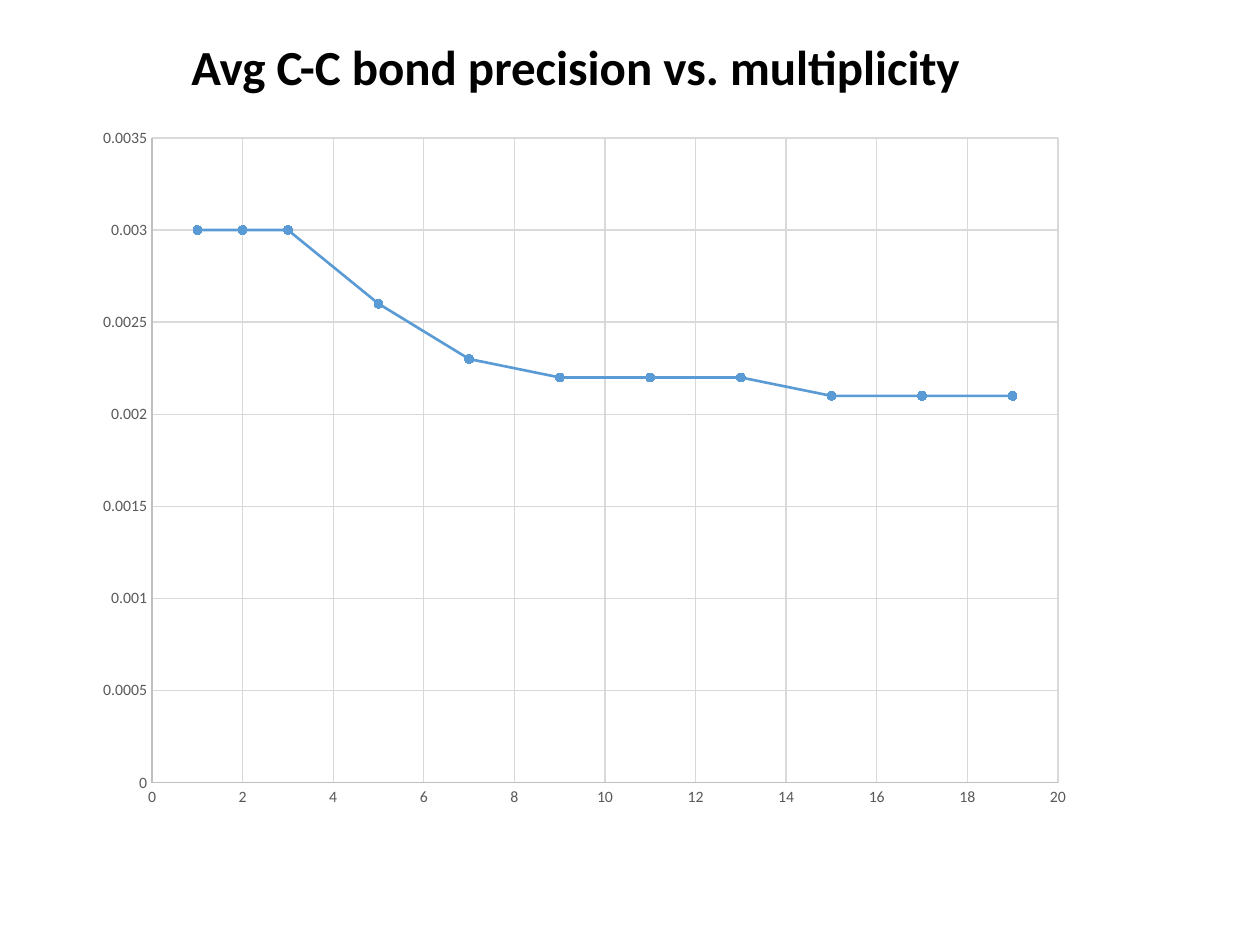
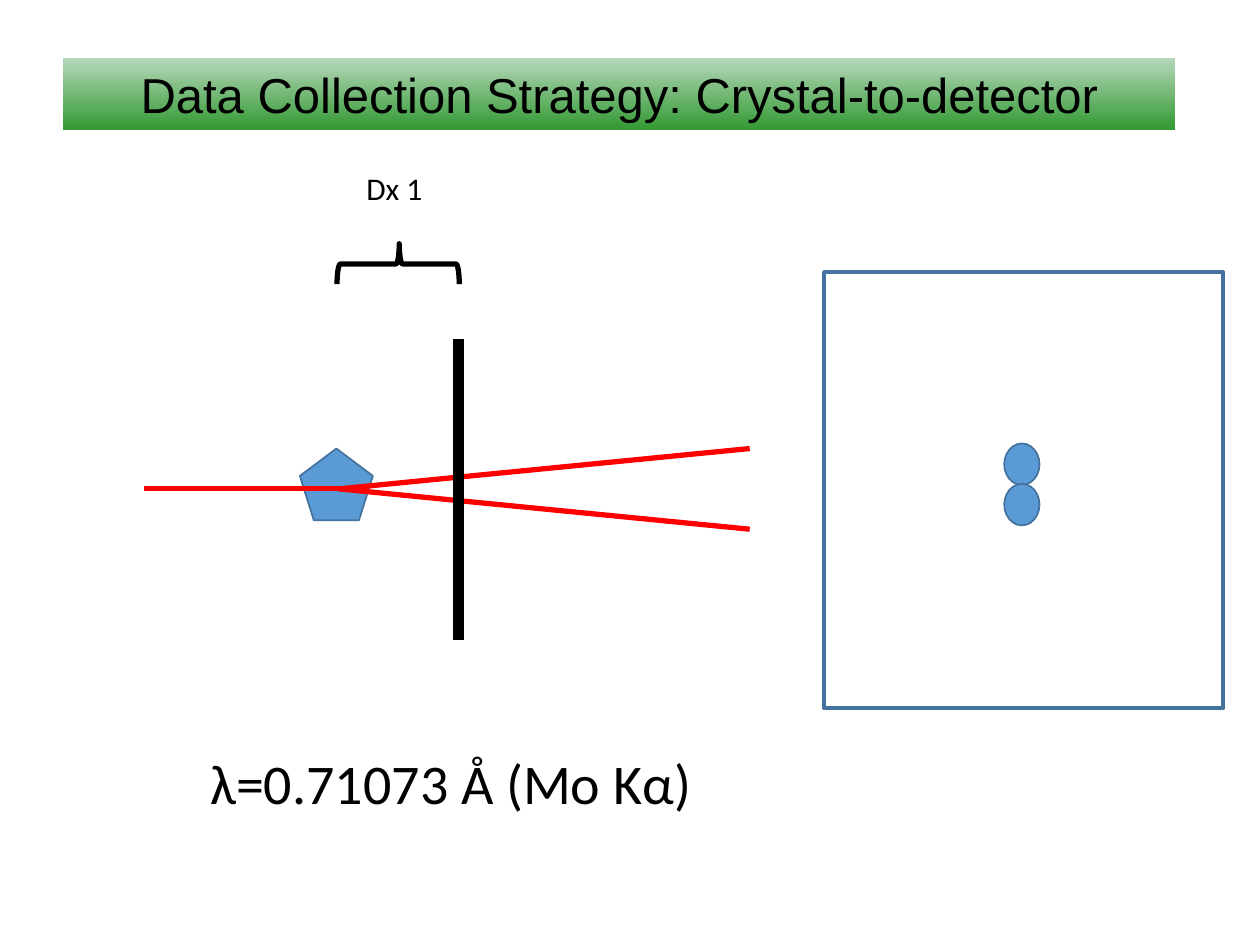
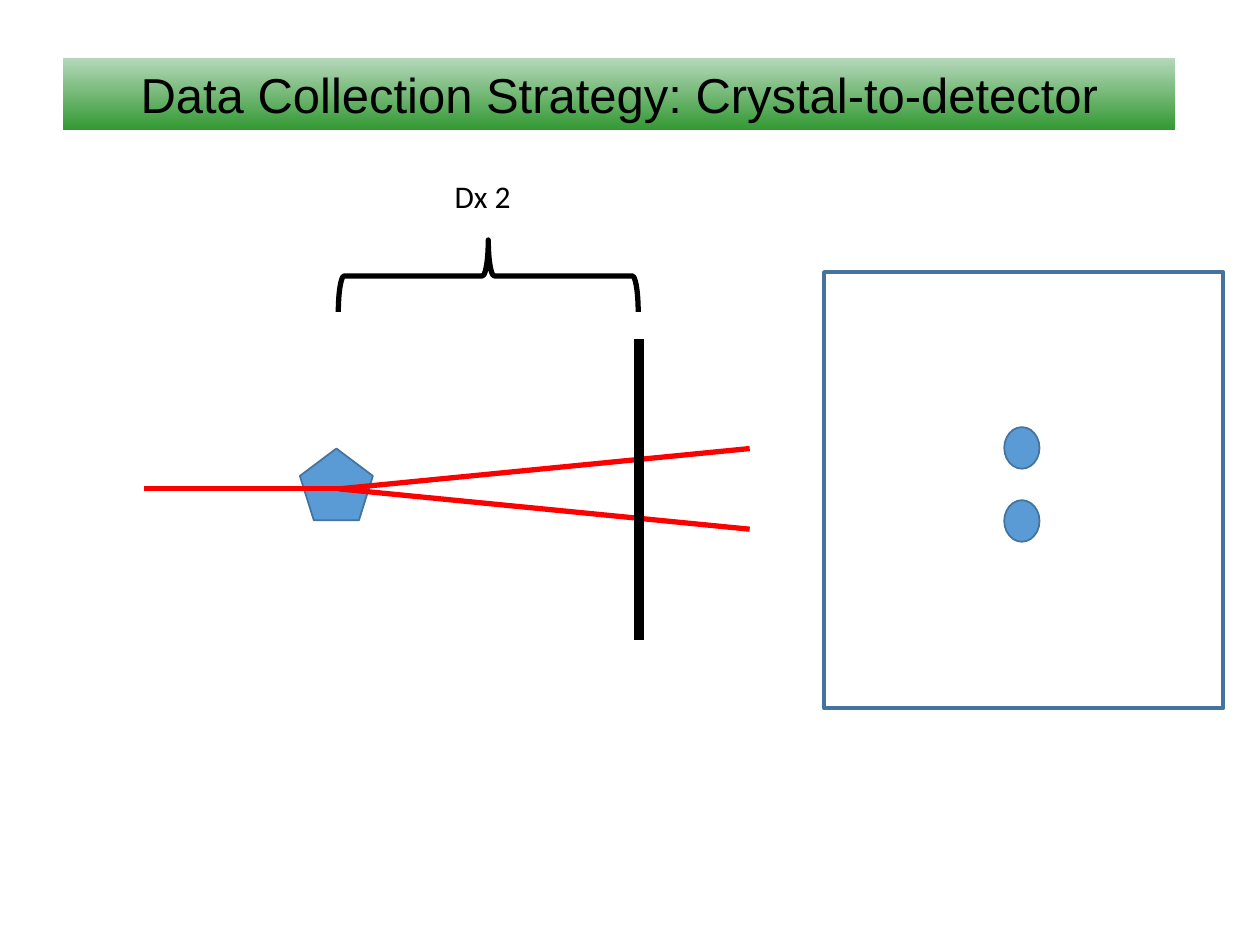
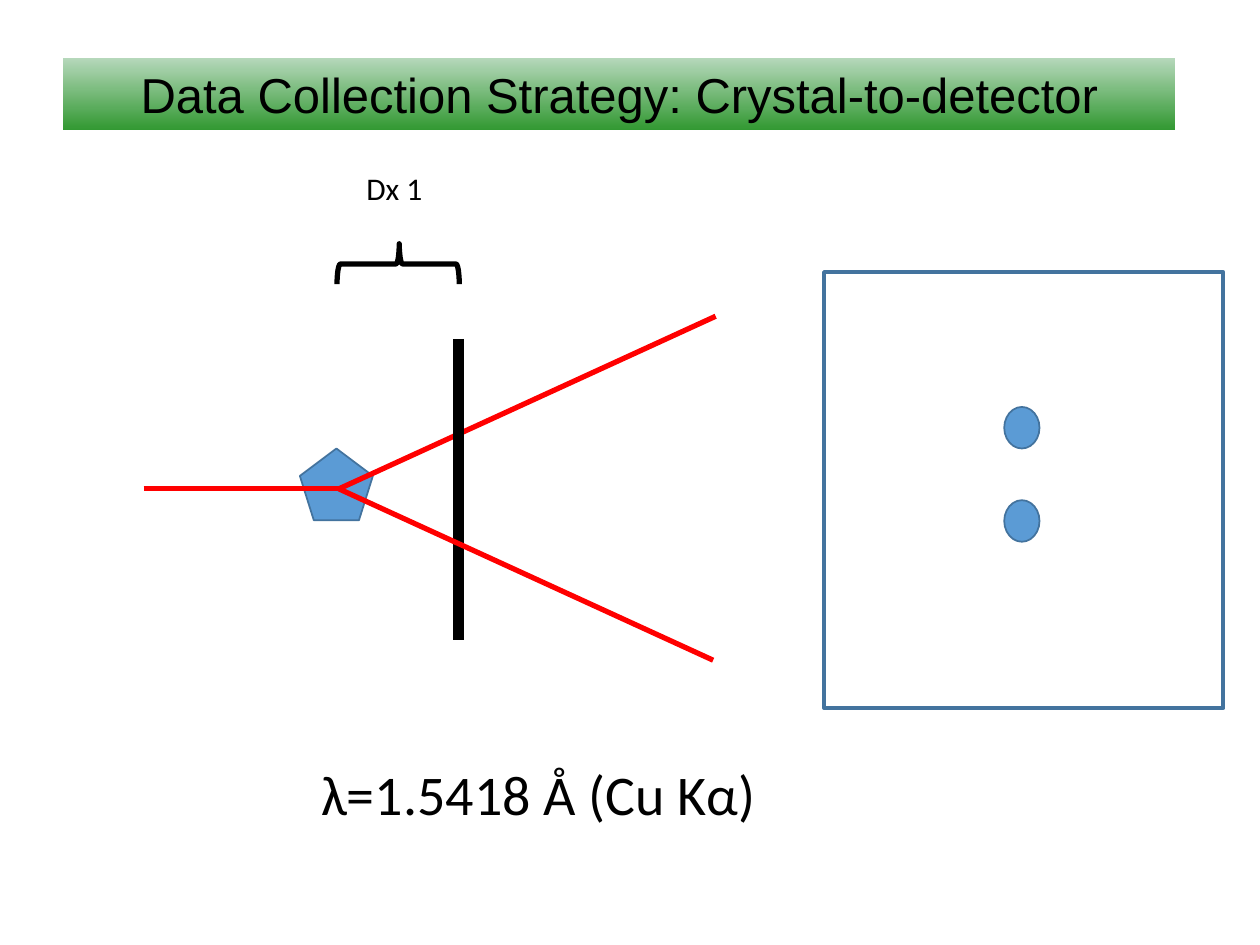
from lxml.etree import SubElement
from pptx import Presentation
from pptx.chart.data import XyChartData
from pptx.dml.color import RGBColor
from pptx.enum.chart import XL_CHART_TYPE, XL_MARKER_STYLE, XL_TICK_MARK
from pptx.enum.shapes import MSO_CONNECTOR, MSO_SHAPE
from pptx.enum.text import MSO_ANCHOR, MSO_AUTO_SIZE, PP_ALIGN
from pptx.oxml.ns import qn
from pptx.util import Inches, Pt

COLORS = {
    "ink": "000000", "blue": "5B9BD5", "edge": "43739E", "beam": "FF0000",
    "mint": "B6D8BB", "green": "339933",
    "label": "595959", "axis": "BFBFBF", "grid": "D9D9D9",
}
FONTS = {
    "head": {"name": "Calibri", "size": Pt(28), "bold": True},
    "band": {"name": "Arial", "size": Pt(28)},
    "note": {"name": "Calibri", "size": Pt(18)},
    "wave": {"name": "Calibri", "size": Pt(32)},
    "tick": {"name": "Calibri", "size": Pt(9)},
}
SOURCE = (2.69, 3.88)
NARROW = [(5.95, 4.2), (5.95, 3.56)]
MULTIPLES = [1, 2, 3, 5, 7, 9, 11, 13, 15, 17, 19]
ERRORS = [0.003, 0.003, 0.003, 0.0026, 0.0023, 0.0022,
          0.0022, 0.0022, 0.0021, 0.0021, 0.0021]


def color(name):
    return RGBColor.from_string(COLORS[name])


def assign(target, values):
    for key, value in values.items():
        setattr(target, key, value)


def set_font(font, style, ink="ink"):
    assign(font, FONTS[style])
    font.color.rgb = color(ink)


def set_line(line, ink, width):
    line.color.rgb = color(ink)
    line.width = Pt(width)


def write(shape, text, style, **frame):
    assign(shape.text_frame, {"word_wrap": True,
                              "auto_size": MSO_AUTO_SIZE.SHAPE_TO_FIT_TEXT, **frame})
    para = shape.text_frame.paragraphs[0]
    para.text = text
    set_font(para.font, style)
    return para


def add_text(slide, box, text, style, **frame):
    shape = slide.shapes.add_textbox(*map(Inches, box))
    write(shape, text, style, **frame)


def add_shape(slide, kind, box, fill=None, edge=None, width=1):
    shape = slide.shapes.add_shape(kind, *map(Inches, box))
    shape.shadow.inherit = False
    if fill:
        shape.fill.solid()
        shape.fill.fore_color.rgb = color(fill)
    else:
        shape.fill.background()
    if edge:
        set_line(shape.line, edge, width)
    else:
        shape.line.fill.background()
    return shape


def add_line(slide, start, end, ink, width):
    line = slide.shapes.add_connector(MSO_CONNECTOR.STRAIGHT,
                                      *map(Inches, (*start, *end)))
    set_line(line.line, ink, width)
    SubElement(line._element.spPr, qn("a:effectLst"))


def add_ray(slide, end, start=SOURCE):
    add_line(slide, start, end, "beam", 3)


def add_band(slide):
    band = add_shape(slide, MSO_SHAPE.RECTANGLE, (0.5, 0.46, 8.83, 0.57))
    band.fill.gradient()
    band.fill.gradient_angle = 270
    for stop, name, spot in zip(band.fill.gradient_stops, ("mint", "green"), (0, 1)):
        stop.color.rgb = color(name)
        stop.position = spot
    para = write(band, "Data Collection Strategy: Crystal-to-detector", "band",
                 vertical_anchor=MSO_ANCHOR.MIDDLE)
    para.alignment = PP_ALIGN.CENTER


def add_brace(slide, box, bends):
    brace = add_shape(slide, MSO_SHAPE.LEFT_BRACE, box, edge="ink", width=3)
    brace.rotation = 90
    for index, bend in enumerate(bends):
        brace.adjustments[index] = bend


def draw_setup(slide, rays, wall, spots):
    """Crystal, beam, detector wall at x, and spots at these tops on its face."""
    add_shape(slide, MSO_SHAPE.REGULAR_PENTAGON, (2.38, 3.56, 0.58, 0.57), "blue", "edge")
    add_ray(slide, SOURCE, (1.14, 3.88))
    for end in rays:
        add_ray(slide, end)
    add_line(slide, (wall, 2.69), (wall, 5.08), "ink", 6)
    add_shape(slide, MSO_SHAPE.RECTANGLE, (6.54, 2.16, 3.17, 3.46), edge="edge", width=2.25)
    for top in spots:
        add_shape(slide, MSO_SHAPE.OVAL, (7.97, top, 0.28, 0.33), "blue", "edge")
    add_band(slide)


def draw_near(slide, rays, spots):
    draw_setup(slide, rays, 3.64, spots)
    add_brace(slide, (3, 1.61, 0.32, 0.97), (0.083, 0.491))
    add_text(slide, (2.81, 1.29, 0.7, 0.4), "Dx 1", "note")


def draw_far(slide):
    draw_setup(slide, NARROW, 5.07, (3.39, 3.97))
    add_brace(slide, (3.59, 1, 0.57, 2.38), (0.083, 0.5))
    add_text(slide, (3.51, 1.36, 0.72, 0.4), "Dx 2", "note")


def style_axis(axis, top, step):
    assign(axis, {"minimum_scale": 0, "maximum_scale": top, "major_unit": step,
                  "has_major_gridlines": True,
                  "major_tick_mark": XL_TICK_MARK.NONE,
                  "minor_tick_mark": XL_TICK_MARK.NONE})
    set_line(axis.format.line, "axis", 0.75)
    set_line(axis.major_gridlines.format.line, "grid", 0.75)
    set_font(axis.tick_labels.font, "tick", "label")


def add_curve(slide):
    data = XyChartData()
    points = data.add_series("Series 1")
    for x, y in zip(MULTIPLES, ERRORS):
        points.add_data_point(x, y)
    chart = slide.shapes.add_chart(XL_CHART_TYPE.XY_SCATTER_SMOOTH,
                                   *map(Inches, (0.66, 0.91, 7.96, 5.6)), data).chart
    assign(chart, {"has_legend": False, "has_title": False})
    assign(chart.font, {"name": "Calibri", "size": Pt(10)})
    chart.plots[0].vary_by_categories = False
    style_axis(chart.category_axis, 20, 2)
    style_axis(chart.value_axis, 0.0035, 0.0005)
    curve = chart.plots[0].series[0]
    curve.smooth = True
    set_line(curve.format.line, "blue", 1.5)
    mark = curve.marker
    assign(mark, {"style": XL_MARKER_STYLE.CIRCLE, "size": 5})
    mark.format.fill.solid()
    mark.format.fill.fore_color.rgb = color("blue")
    set_line(mark.format.line, "blue", 0.75)


def main():
    deck = Presentation()
    assign(deck, {"slide_width": Inches(10), "slide_height": Inches(7.5)})
    blank = deck.slide_layouts[6]
    graph, near, far, copper = [deck.slides.add_slide(blank) for _ in range(4)]

    add_curve(graph)
    add_text(graph, (1.42, 0.24, 6.44, 0.57),
             "Avg C-C bond precision vs. multiplicity", "head")

    draw_near(near, NARROW, (3.52, 3.84))
    add_text(near, (1.57, 5.89, 4.15, 0.64), "λ=0.71073 Å (Mo Kα)", "wave")

    draw_far(far)

    draw_near(copper, [(5.68, 2.51)], (3.23, 3.97))
    add_ray(copper, (5.66, 5.24))
    add_text(copper, (2.45, 5.98, 3.69, 0.64), "λ=1.5418 Å (Cu Kα)", "wave",
             word_wrap=False)

    deck.save("out.pptx")


if __name__ == "__main__":
    main()
